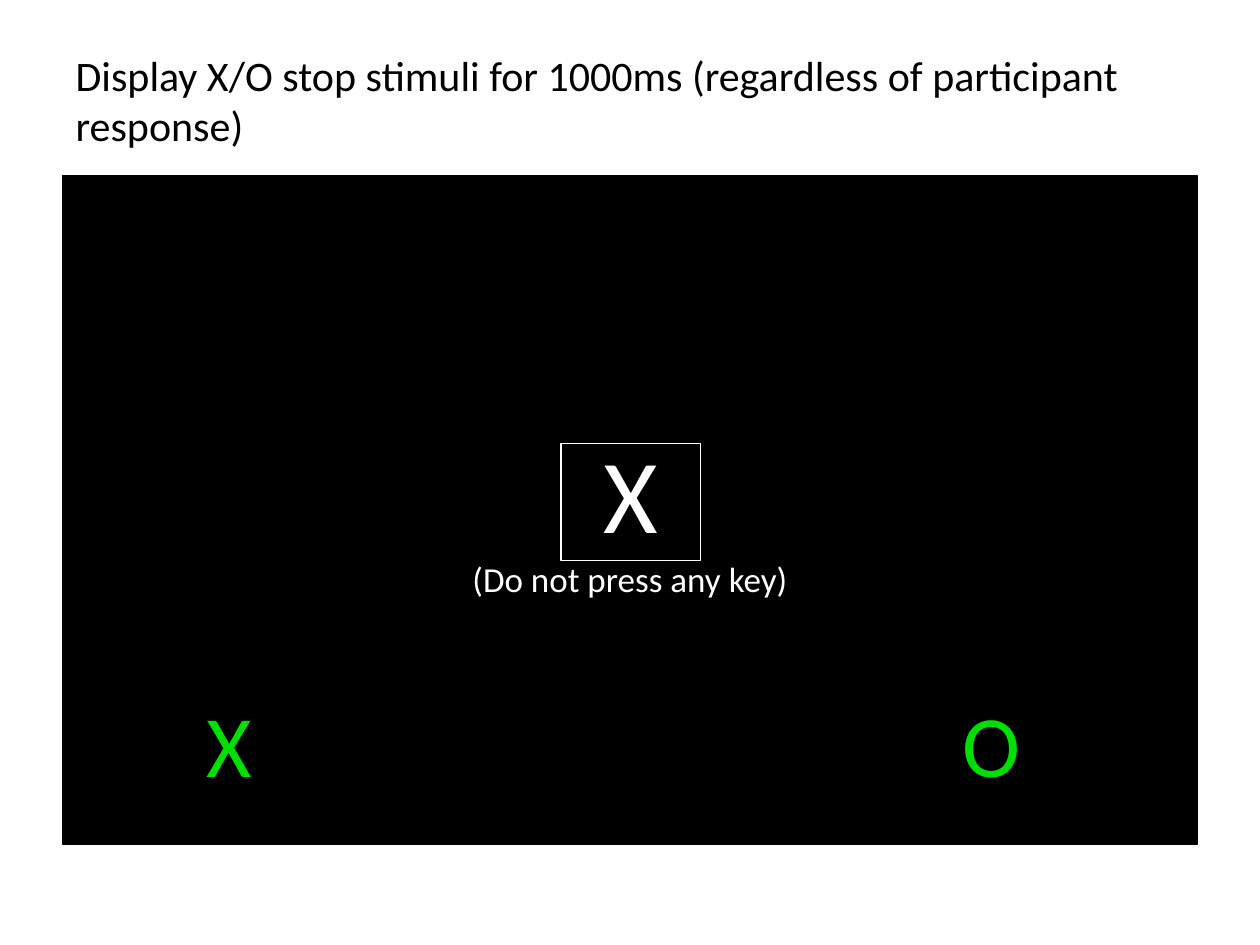
from lxml import etree
from pptx import Presentation
from pptx.dml.color import RGBColor
from pptx.enum.shapes import MSO_SHAPE
from pptx.enum.text import MSO_ANCHOR, PP_ALIGN
from pptx.oxml import parse_xml
from pptx.oxml.ns import nsdecls, qn
from pptx.util import Inches, Pt

RECT = MSO_SHAPE.RECTANGLE
LEFT, CENTER = PP_ALIGN.LEFT, PP_ALIGN.CENTER
TOP, MIDDLE, BOTTOM = MSO_ANCHOR.TOP, MSO_ANCHOR.MIDDLE, MSO_ANCHOR.BOTTOM
BLACK = RGBColor(0x00, 0x00, 0x00)
WHITE = RGBColor(0xFF, 0xFF, 0xFF)
GREEN = RGBColor(0x00, 0xE0, 0x00)
FONT = "Calibri"


def write(sp, text, size, color, align=LEFT, anchor=MIDDLE):
    """Put one formatted paragraph into a shape and return it."""
    tf = sp.text_frame
    tf.word_wrap = True
    tf.vertical_anchor = anchor
    p = tf.paragraphs[0]
    p.alignment = align
    r = p.add_run()
    r.text = text
    r.font.name, r.font.size, r.font.color.rgb = FONT, Pt(size), color
    return p


class StimulusSlide:
    def __init__(self, prs):
        self.s = prs.slides.add_slide(prs.slide_layouts[1])

    def place(self, sp, box):
        sp.left, sp.top, sp.width, sp.height = (Inches(v) for v in box)

    def paint(self, sp, fill, line, width):
        sp.fill.solid()
        sp.fill.fore_color.rgb = fill
        sp.line.color.rgb = line
        sp.line.width = Pt(width)

    def title(self, text, box):
        sp = self.s.shapes.title
        self.place(sp, box)
        write(sp, text, 24, BLACK)

    def screen(self, text, box, drop):
        """Black screen whose text sits below its centre by drop inches."""
        sp = self.s.placeholders[1]
        self.place(sp, box)
        self.paint(sp, BLACK, BLACK, 0.75)
        p = write(sp, text, 20, WHITE, CENTER)
        p.space_before = Pt(0)
        sp.text_frame.margin_top = Inches(0.05 + 2 * drop)
        pPr = p._p.get_or_add_pPr()
        pPr.set("marL", "0")
        pPr.set("indent", "0")
        etree.SubElement(pPr, qn("a:buNone"))

    def stimulus(self, text, box):
        sp = self.s.shapes.add_shape(RECT, *(Inches(v) for v in box))
        self.paint(sp, BLACK, WHITE, 1)
        write(sp, text, 60, WHITE, CENTER, BOTTOM)
        sp._element.spPr.append(parse_xml(
            f'<a:effectLst {nsdecls("a")}><a:outerShdw blurRad="{Pt(3.1)}" '
            f'dist="{Pt(1.8)}" dir="5400000" rotWithShape="0">'
            '<a:srgbClr val="000000"><a:alpha val="35000"/></a:srgbClr>'
            '</a:outerShdw></a:effectLst>'))

    def key_labels(self, labels, stops, box):
        """One line of labels, each on its own tab stop."""
        sp = self.s.shapes.add_textbox(*(Inches(v) for v in box))
        p = write(sp, "".join("\t" + t for t in labels), 50, GREEN, anchor=TOP)
        tabs = etree.SubElement(p._p.get_or_add_pPr(), qn("a:tabLst"))
        for stop in stops:
            etree.SubElement(tabs, qn("a:tab"), pos=str(Inches(stop)), algn="l")


prs = Presentation()
prs.slide_width, prs.slide_height = Inches(10), Inches(7.5)
slide = StimulusSlide(prs)

# Heading
slide.title("Display X/O stop stimuli for 1000ms (regardless of participant response)",
            (0.5, 0.3, 9, 0.98))

# Experiment screen with the stop stimulus
slide.screen("(Do not press any key)", (0.5, 1.39, 9, 5.31), drop=0.55)
slide.stimulus("X", (4.45, 3.52, 1.11, 0.93))

# Response key labels
slide.key_labels(("X", "O"), (0.5, 6.5), (1.04, 5.43, 7.88, 0.94))

prs.save("out.pptx")
